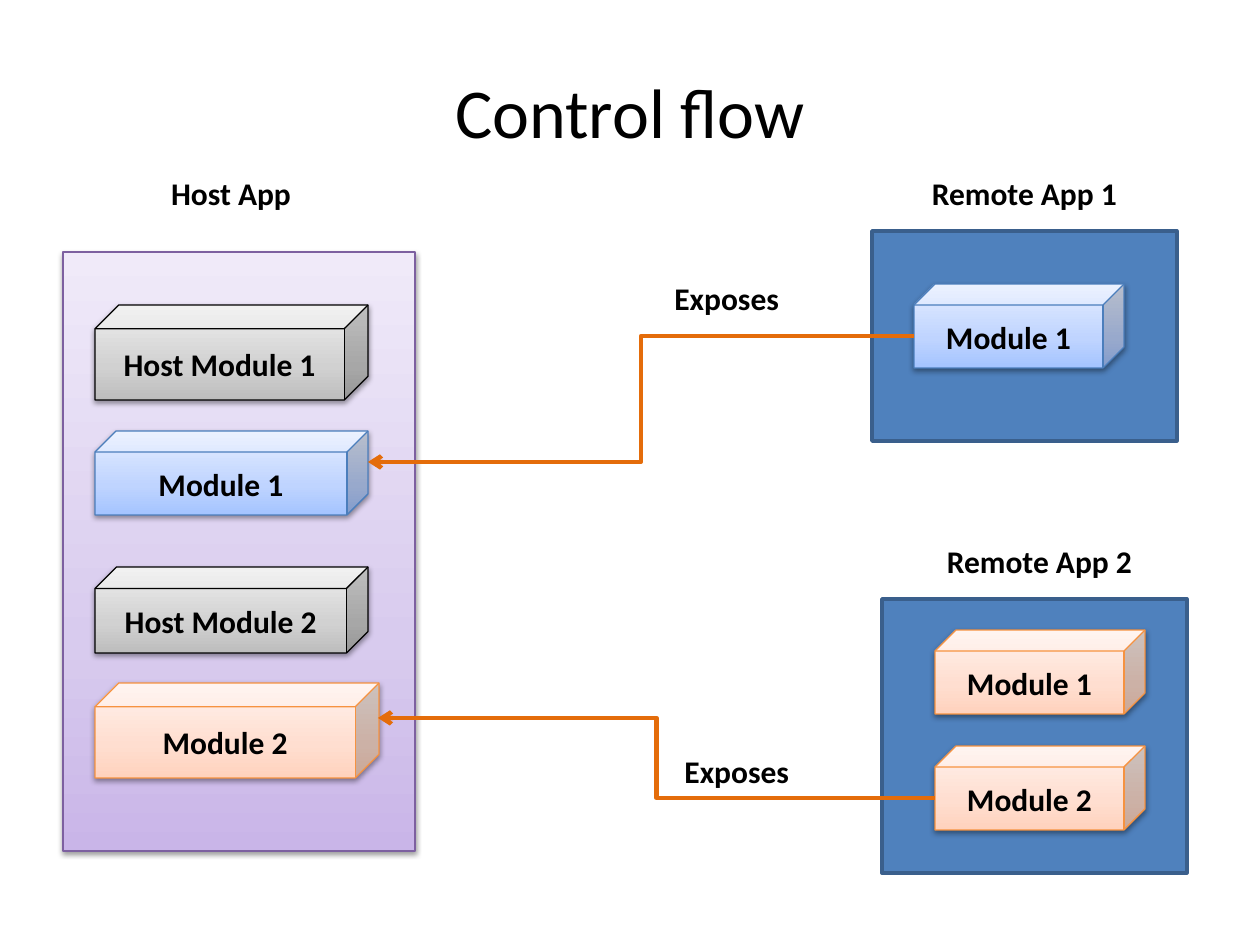
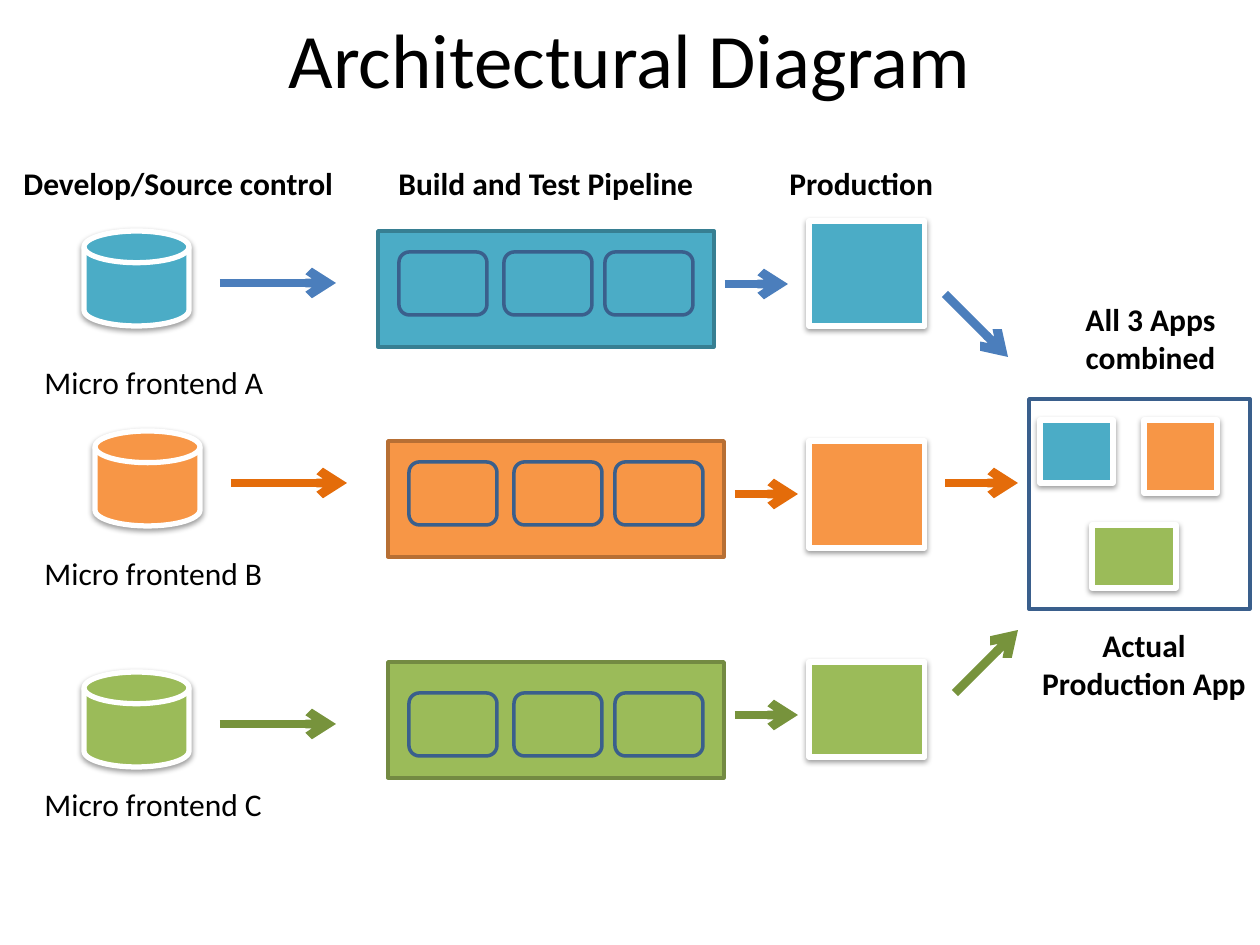
"""Build two slides: a control flow and an architectural diagram."""
from copy import deepcopy

from lxml.etree import SubElement
from pptx import Presentation
from pptx.dml.color import RGBColor
from pptx.enum.shapes import MSO_CONNECTOR as LINK, MSO_SHAPE as FORM
from pptx.enum.text import MSO_ANCHOR, MSO_AUTO_SIZE, PP_ALIGN
from pptx.oxml.ns import qn
from pptx.util import Emu, Pt

FONT, BLACK, WHITE = "Calibri", "000000", "FFFFFF"
BLUE, NAVY, ORANGE = "4F81BD", "3A5F8C", "E46C0A"
LEFT, MID = PP_ALIGN.LEFT, PP_ALIGN.CENTER
ROW, PAIR = 50, 90

STOPS = (0, 0.35, 1)
TINTS = {
    "blue": (("A4C4FF", "BFD4FF", "E6EEFF"), "4B7EBC"),
    "peach": (("FFD2BD", "FFDED0", "FFF2ED"), "F69240"),
    "gray": (("BDBDBD", "D1D1D1", "EEEEEE"), BLACK),
    "lilac": (("C9B5E8", "D8CBEE", "F0EAF9"), "7D60A0"),
}

HOST = (63, 252, 352, 599)
REMOTES = [(872, 231, 305, 210), (882, 599, 305, 274)]
CUBES = [
    ("Host Module 1", "gray", (95, 305, 273, 95)),
    ("Module 1", "blue", (95, 431, 273, 84)),
    ("Host Module 2", "gray", (95, 567, 273, 86)),
    ("Module 2", "peach", (95, 683, 284, 95)),
    ("Module 1", "blue", (914, 284, 210, 84)),
    ("Module 1", "peach", (935, 630, 210, 84)),
    ("Module 2", "peach", (935, 746, 210, 84)),
]
FLOWS = [(914, 336, 368, 462), (935, 798, 378, 718)]
LABELS = [
    ("Host App", (63, 168, 336, ROW), MID),
    ("Remote App 1", (872, 168, 305, ROW), MID),
    ("Remote App 2", (882, 536, 315, ROW), MID),
    ("Exposes", (662, 273, 168, ROW), LEFT),
    ("Exposes", (672, 746, 168, ROW), LEFT),
]

LANES = [
    dict(name="Micro frontend A", fill="4BACC6", edge="377F92", arrow="4B7EBC",
         disk=(84, 231), text=357, pipe=(378, 231), step=252, prod=(221, 105),
         out=(945, 294, 1008, 357), app=(1040, 420, 73, 63)),
    dict(name="Micro frontend B", fill="F79646", edge="B76F34", arrow=ORANGE,
         disk=(95, 431), text=548, pipe=(388, 441), step=462, prod=(441, 107),
         out=(945, 483, 1018, 483), app=(1144, 420, 73, 73)),
    dict(name="Micro frontend C", fill="9BBB59", edge="738A42", arrow="77933C",
         disk=(84, 672), text=779, pipe=(388, 662), step=693, prod=(662, 95),
         out=(955, 693, 1018, 630), app=(1092, 525, 84, 63)),
]
STEPS = (21, 126, 227)
COMBINED = (1029, 399, 221, 210)
HEADS = [
    ("Build and Test Pipeline", (378, 158, 336, ROW), MID),
    ("Production", (777, 158, 179, ROW), LEFT),
    ("All 3 Apps combined", (1040, 294, 221, PAIR), MID),
    ("Actual Production App", (1018, 620, 252, PAIR), MID),
]


def px(*nums):
    """Turn pixels into lengths."""
    return [Emu(round(n * 914400 / 126)) for n in nums]


def paint(color, code):
    """Set a colour from a hex string."""
    color.rgb = RGBColor.from_string(code)


def write(frame, text, size=18, bold=True, align=MID):
    """Put one styled paragraph in a text frame."""
    frame.text = text
    para = frame.paragraphs[0]
    para.alignment = align
    para.font.name, para.font.size, para.font.bold = FONT, Pt(size), bold
    paint(para.font.color, BLACK)


def label(slide, text, box, align=LEFT, bold=True, wrap=True):
    """Add a text box."""
    frame = slide.shapes.add_textbox(*px(*box)).text_frame
    write(frame, text, bold=bold, align=align)
    frame.word_wrap = wrap
    frame.auto_size = MSO_AUTO_SIZE.SHAPE_TO_FIT_TEXT


def shade(shape):
    """Give a shape a soft shadow below."""
    drop = SubElement(shape._element.spPr.find(qn("a:effectLst")), qn("a:outerShdw"),
                      blurRad="40000", dist="20000", dir="5400000", rotWithShape="0")
    color = SubElement(drop, qn("a:srgbClr"), val=BLACK)
    SubElement(color, qn("a:alpha"), val="38000")


def draw(slide, form, box, fill, edge, width, shadow=False):
    """Add a preset shape with a fill, if any, and a line."""
    shape = slide.shapes.add_shape(form, *px(*box))
    shape.shadow.inherit = False
    if fill:
        shape.fill.solid()
        paint(shape.fill.fore_color, fill)
    else:
        shape.fill.background()
    paint(shape.line.color, edge)
    shape.line.width = Pt(width)
    if shadow:
        shade(shape)
    return shape


def blend(slide, form, box, tint):
    """Add a shadowed shape with a three-stop gradient."""
    codes, edge = TINTS[tint]
    shape = draw(slide, form, box, codes[0], edge, 0.75, True)
    shape.fill.gradient()
    shape.fill.gradient_angle = 90
    stops = shape._element.spPr.find(".//" + qn("a:gsLst"))
    stops.insert(1, deepcopy(stops[0]))
    for stop, code, spot in zip(shape.fill.gradient_stops, codes, STOPS):
        paint(stop.color, code)
        stop.position = spot
    return shape


def arrow(slide, ends, color, width, kind=LINK.STRAIGHT):
    """Add a connector with an open arrowhead."""
    link = slide.shapes.add_connector(kind, *px(*ends))
    paint(link.line.color, color)
    link.line.width = Pt(width)
    SubElement(link.line._get_or_add_ln(), qn("a:tailEnd"), type="arrow")
    SubElement(link._element.spPr, qn("a:effectLst"))


def start(deck, text, box, size):
    """Add a slide with its title."""
    slide = deck.slides.add_slide(deck.slide_layouts[5])
    title = slide.shapes.title
    title.left, title.top, title.width, title.height = px(*box)
    write(title.text_frame, text, size, False)
    title.text_frame.vertical_anchor = MSO_ANCHOR.MIDDLE
    return slide


def control(deck):
    """Build the control flow slide."""
    slide = start(deck, "Control flow", (63, 32, 1134, 158), 40)
    for box in REMOTES:
        draw(slide, FORM.RECTANGLE, box, BLUE, NAVY, 2)
    blend(slide, FORM.RECTANGLE, HOST, "lilac")
    for text, tint, box in CUBES:
        cube = blend(slide, FORM.CUBE, box, tint)
        write(cube.text_frame, text)
        cube.text_frame.vertical_anchor = MSO_ANCHOR.MIDDLE
    for ends in FLOWS:
        arrow(slide, ends, ORANGE, 2.5, LINK.ELBOW)
    for text, box, align in LABELS:
        label(slide, text, box, align)


def lane(slide, name, fill, edge, arrow_color, disk, text, pipe, step, prod, out, app):
    """Draw one frontend from source control to the combined app."""
    x, y = disk
    draw(slide, FORM.FLOWCHART_MAGNETIC_DISK, (x, y, 105, 95), fill, WHITE, 3, True)
    arrow(slide, (x + 136, y + 52, x + 252, y + 52), arrow_color, 5)
    label(slide, name, (32, text, 247, ROW), bold=False, wrap=False)
    x, y = pipe
    draw(slide, FORM.RECTANGLE, (x, y, 336, 116), fill, edge, 2)
    for gap in STEPS:
        draw(slide, FORM.ROUNDED_RECTANGLE, (x + gap, step, 88, 63), None, NAVY, 2)
    arrow(slide, (x + 347, y + 53, x + 410, y + 53), arrow_color, 5)
    top, high = prod
    for box in ((809, top, 116, high), app):
        draw(slide, FORM.RECTANGLE, box, fill, WHITE, 3, True)
    arrow(slide, out, arrow_color, 5)


def diagram(deck):
    """Build the architectural diagram slide."""
    slide = start(deck, "Architectural Diagram", (63, 0, 1134, 116), 44)
    draw(slide, FORM.RECTANGLE, COMBINED, None, NAVY, 2)
    for row in LANES:
        lane(slide, *row.values())
    label(slide, "Develop/Source control", (11, 158, 335, ROW), wrap=False)
    for text, box, align in HEADS:
        label(slide, text, box, align)


def main():
    """Build and save the deck."""
    deck = Presentation()
    deck.slide_width, deck.slide_height = px(1260, 945)
    control(deck)
    diagram(deck)
    deck.save("out.pptx")


if __name__ == "__main__":
    main()
